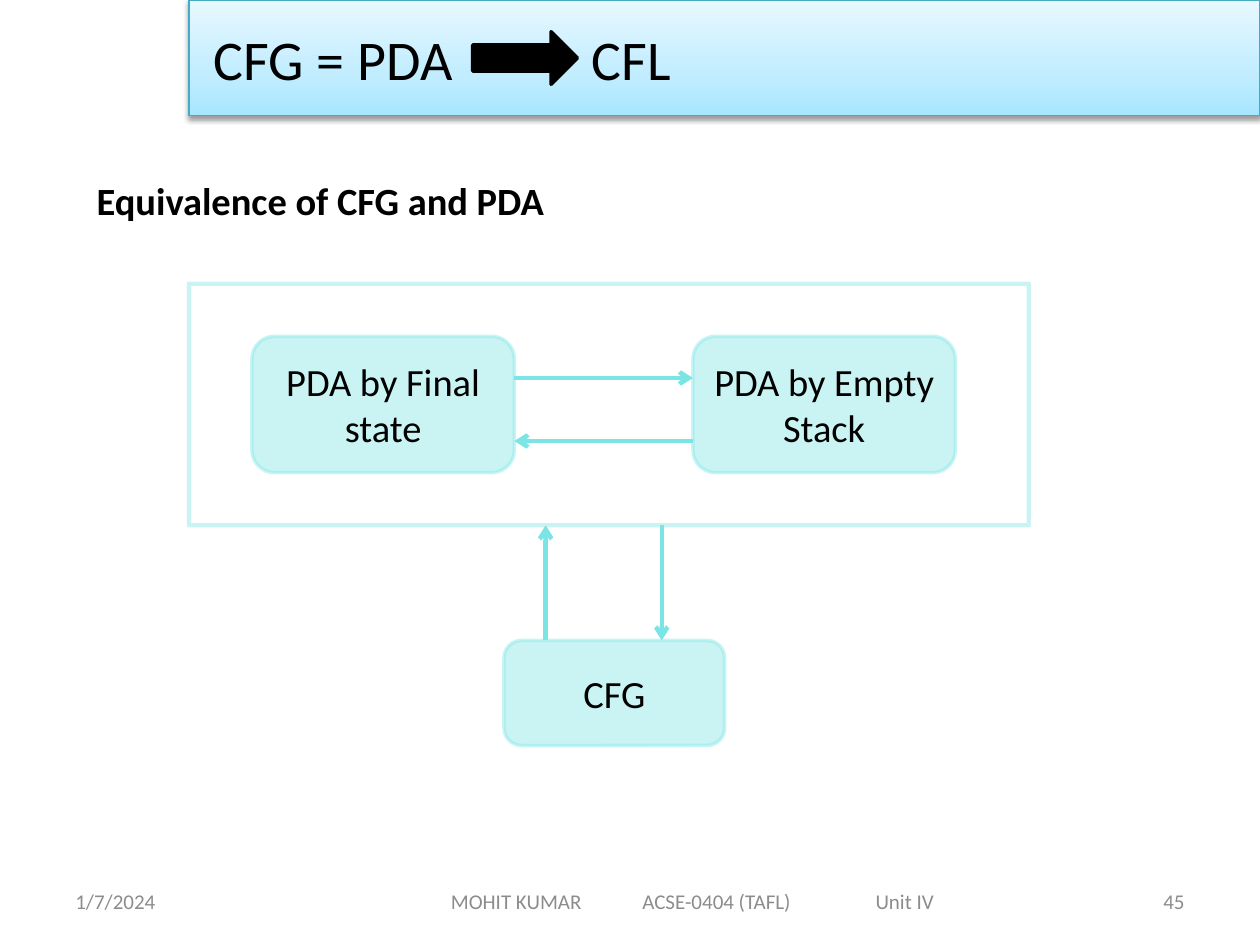
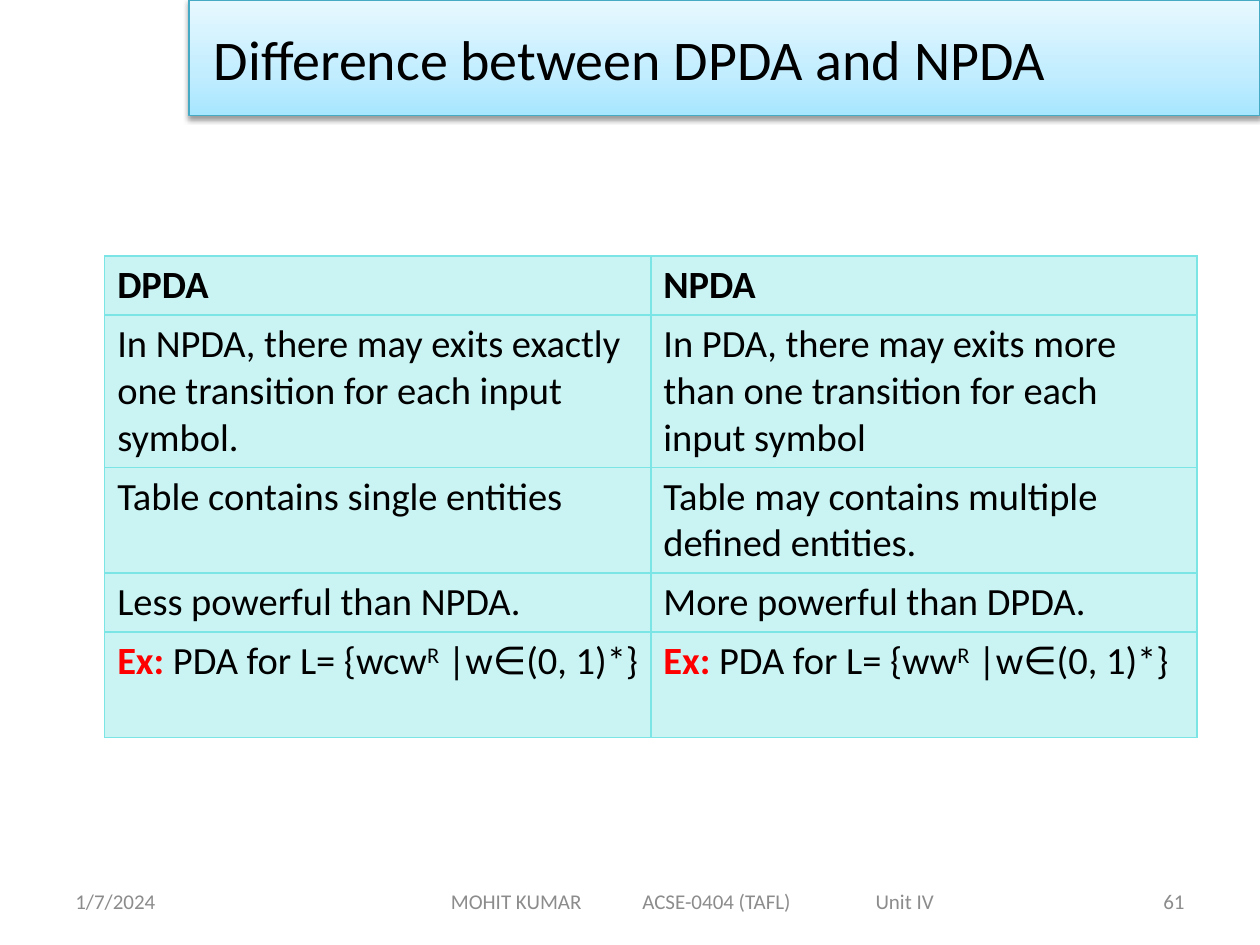
from lxml.etree import SubElement
from pptx import Presentation
from pptx.dml.color import RGBColor
from pptx.enum.shapes import MSO_CONNECTOR, MSO_SHAPE
from pptx.enum.text import MSO_ANCHOR, MSO_AUTO_SIZE, PP_ALIGN
from pptx.oxml.ns import qn
from pptx.util import Cm, Pt

BLACK = RGBColor(0x00, 0x00, 0x00)
RED = RGBColor(0xFF, 0x00, 0x00)
GREY = RGBColor(0x8C, 0x8C, 0x8C)
AQUA = RGBColor(0x7B, 0xE5, 0xE5)
BAND_EDGE = RGBColor(0x46, 0xAA, 0xC5)
BAND_STOPS = [
    (0, RGBColor(0xA7, 0xE6, 0xFF)),
    (35, RGBColor(0xC1, 0xED, 0xFF)),
    (100, RGBColor(0xE7, 0xF8, 0xFF)),
]
FONT = "Calibri"
ALPHA = "40000"


def add_child(parent, tag, **attributes):
    return SubElement(parent, qn(tag), {name: str(value) for name, value in attributes.items()})


def write(frame, text, size, align=PP_ALIGN.LEFT, color=BLACK, bold=False, tabs=()):
    para = frame.paragraphs[0]
    para.text = text
    if tabs:
        tab_list = add_child(para._p.get_or_add_pPr(), "a:tabLst")
        for stop in tabs:
            add_child(tab_list, "a:tab", pos=Cm(stop), algn="l")
    para.alignment = align
    para.font.name = FONT
    para.font.size = Pt(size)
    para.font.bold = bold
    para.font.color.rgb = color
    return para


deck = Presentation()
deck.slide_width = Cm(25.4)
deck.slide_height = Cm(19.05)

# Shared title band and footers
pages = []
for title_text, number in [("CFG = PDA\tCFL", "45"), ("Difference between DPDA and NPDA", "61")]:
    page = deck.slides.add_slide(deck.slide_layouts[5])
    pages.append(page)

    band = page.shapes.title
    band.left, band.top, band.width, band.height = Cm(3.81), Cm(0), Cm(21.59), Cm(2.33)
    properties = band._element.spPr
    gradient = add_child(properties, "a:gradFill", rotWithShape=1)
    stops = add_child(gradient, "a:gsLst")
    for percent, color in BAND_STOPS:
        stop = add_child(stops, "a:gs", pos=percent * 1000)
        add_child(stop, "a:srgbClr", val=color)
    add_child(gradient, "a:lin", ang=16200000, scaled=0)
    band.line.color.rgb = BAND_EDGE
    band.line.width = Pt(0.75)
    effects = add_child(properties, "a:effectLst")
    shadow = add_child(effects, "a:outerShdw", blurRad=Pt(3.1), dist=Pt(1.6), dir=5400000, rotWithShape=0)
    add_child(add_child(shadow, "a:srgbClr", val=BLACK), "a:alpha", val=38000)
    frame = band.text_frame
    frame.auto_size = MSO_AUTO_SIZE.NONE
    frame.vertical_anchor = MSO_ANCHOR.MIDDLE
    frame.margin_left = Cm(0.5)
    write(frame, title_text, 32, tabs=[7.62] if "\t" in title_text else [])

    for left, width, inset, text, align, tabs in [
        (1.27, 5.92, 0.25, "1/7/2024", PP_ALIGN.LEFT, []),
        (6.99, 13.97, 2.1, "MOHIT KUMAR\tACSE-0404 (TAFL)\tUnit IV", PP_ALIGN.LEFT, [3.86, 8.56]),
        (18.21, 5.92, 0.25, number, PP_ALIGN.RIGHT, []),
    ]:
        footer = page.shapes.add_textbox(Cm(left), Cm(17.65), Cm(width), Cm(1.02))
        frame = footer.text_frame
        frame.word_wrap = True
        frame.vertical_anchor = MSO_ANCHOR.MIDDLE
        frame.margin_left = Cm(inset)
        write(frame, text, 12, align, GREY, tabs=tabs)

equivalence_page, difference_page = pages

# Slide 1: arrow in the title
implies = equivalence_page.shapes.add_shape(MSO_SHAPE.RIGHT_ARROW, Cm(9.53), Cm(0.64), Cm(2.11), Cm(1.06))
implies.shadow.inherit = False
implies.fill.solid()
implies.fill.fore_color.rgb = BLACK
implies.line.color.rgb = BLACK
implies.line.width = Pt(2)

# Slide 1: heading
heading = equivalence_page.shapes.add_textbox(Cm(1.7), Cm(2.97), Cm(22.43), Cm(12.57))
heading.text_frame.word_wrap = True
para = write(heading.text_frame, "Equivalence of CFG and PDA", 22, bold=True)
para.line_spacing = 1.5
para.space_before = Pt(4.4)

# Slide 1: frame around both automata, and the boxes
for preset, left, top, width, height, text, line_width in [
    (MSO_SHAPE.RECTANGLE, 3.81, 5.72, 16.93, 4.87, "", 2.5),
    (MSO_SHAPE.ROUNDED_RECTANGLE, 5.08, 6.78, 5.29, 2.75, "PDA by Final state", 2),
    (MSO_SHAPE.ROUNDED_RECTANGLE, 13.97, 6.78, 5.29, 2.75, "PDA by Empty Stack", 2),
    (MSO_SHAPE.ROUNDED_RECTANGLE, 10.16, 12.91, 4.45, 2.12, "CFG", 2),
]:
    box = equivalence_page.shapes.add_shape(preset, Cm(left), Cm(top), Cm(width), Cm(height))
    box.shadow.inherit = False
    box.line.color.rgb = AQUA
    box.line.width = Pt(line_width)
    if text:
        box.fill.solid()
        box.fill.fore_color.rgb = AQUA
        box.text_frame.vertical_anchor = MSO_ANCHOR.MIDDLE
        write(box.text_frame, text, 22, PP_ALIGN.CENTER)
    else:
        box.fill.background()
    for color in list(box._element.spPr.iter(qn("a:srgbClr"))):
        add_child(color, "a:alpha", val=ALPHA)

# Slide 1: conversions in both directions
for start_x, start_y, end_x, end_y in [
    (10.37, 7.62, 13.97, 7.62),
    (13.97, 8.89, 10.37, 8.89),
    (11, 12.91, 11, 10.59),
    (13.34, 10.59, 13.34, 12.91),
]:
    arrow = equivalence_page.shapes.add_connector(
        MSO_CONNECTOR.STRAIGHT, Cm(start_x), Cm(start_y), Cm(end_x), Cm(end_y))
    arrow.line.color.rgb = AQUA
    arrow.line.width = Pt(2.5)
    add_child(arrow.line._get_or_add_ln(), "a:tailEnd", type="arrow")
    add_child(arrow._element.spPr, "a:effectLst")

# Slide 2: comparison table, each row with its number of text lines
comparison = [
    (1, "DPDA", "NPDA"),
    (3, "In NPDA, there may exits exactly one transition for each input symbol.",
     "In PDA, there may exits more than one transition for each input symbol"),
    (2, "Table contains single entities", "Table may contains multiple defined entities."),
    (1, "Less powerful than NPDA.", "More powerful than DPDA."),
    (2, "PDA for L= {wcw", "PDA for L= {ww"),
]
table = difference_page.shapes.add_table(
    len(comparison), 2, Cm(2.11), Cm(5.16), Cm(22.02), Cm(9.6)).table
table.first_row = False
table.horz_banding = False
for row_index, (line_count, *texts) in enumerate(comparison):
    table.rows[row_index].height = Cm(0.25 + 0.94 * line_count)
    for column_index, text in enumerate(texts):
        cell = table.cell(row_index, column_index)
        cell_properties = cell._tc.get_or_add_tcPr()
        for side in ("a:lnL", "a:lnR", "a:lnT", "a:lnB"):
            border = add_child(cell_properties, side, w=Pt(1))
            add_child(add_child(border, "a:solidFill"), "a:srgbClr", val=AQUA)
        cell.fill.solid()
        cell.fill.fore_color.rgb = AQUA
        add_child(cell_properties.find(qn("a:solidFill"))[0], "a:alpha", val=ALPHA)

        is_example = row_index == len(comparison) - 1
        para = write(cell.text_frame, "" if is_example else text, 22, bold=row_index == 0)
        if is_example:
            label, language, reverse, condition = [para.add_run() for _ in range(4)]
            label.text = "Ex: "
            label.font.bold = True
            label.font.color.rgb = RED
            language.text = text
            reverse.text = "R"
            reverse.font._element.set("baseline", "30000")
            condition.text = " |w∈(0, 1)*}"

deck.save("out.pptx")
